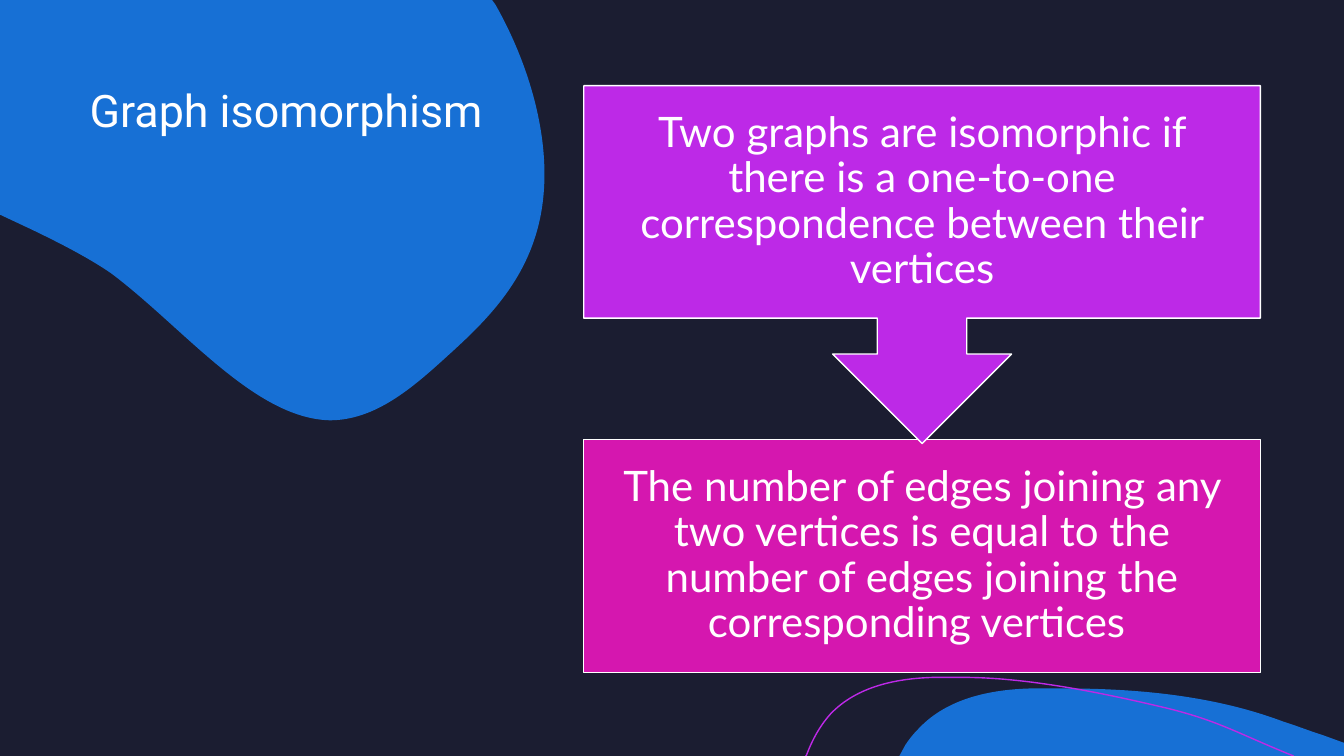
import dataclasses

import lxml.etree
import pptx
import pptx.util
import pptx.dml.color
import pptx.enum.shapes
import pptx.enum.text
import pptx.oxml.ns

Inches = pptx.util.Inches
Pt = pptx.util.Pt
RGB = pptx.dml.color.RGBColor.from_string
MSO_SHAPE = pptx.enum.shapes.MSO_SHAPE
qn = pptx.oxml.ns.qn


@dataclasses.dataclass(frozen=True)
class Theme:
    """Colours, fonts and type sizes of the slide."""
    night: str = "1B1D31"
    blue: str = "1770D5"
    violet: str = "BD29E7"
    magenta: str = "D517AF"
    white: str = "FFFFFF"
    title_font: str = "Roboto"
    body_font: str = "Lato"
    title_size: int = 32
    body_size: int = 30


THEME = Theme()

# Outlines in inches from the box corner: 2 numbers are a line, 6 a curve.
CORNER_BLOB = [
    (0, 0), (4.88, 0), (4.91, 0.04),
    (5.23, 0.6, 5.45, 1.31, 5.39, 1.94), (5.32, 2.7, 4.86, 3.15, 4.44, 3.53),
    (4.09, 3.85, 3.72, 4.17, 3.27, 4.17), (2.52, 4.15, 1.82, 3.25, 1.1, 2.71),
    (0.88, 2.56, 0.61, 2.42, 0.32, 2.28), (0, 2.13), (0, 0),
]
BOTTOM_WAVE = [
    (1.62, 0), (2.36, 0, 3.12, 0.07, 3.81, 0.33),
    (3.94, 0.37, 4.06, 0.42, 4.19, 0.46), (4.41, 0.54), (4.41, 0.67),
    (0, 0.67), (0.06, 0.56), (0.1, 0.5, 0.14, 0.45, 0.19, 0.4),
    (0.47, 0.1, 0.9, 0.01, 1.31, 0), (1.41, 0, 1.51, 0, 1.62, 0),
]
WAVE_LINE = [
    (0, 0.78), (0.01, 0.77), (0.07, 0.61, 0.15, 0.47, 0.25, 0.36),
    (0.51, 0.09, 0.9, 0.01, 1.27, 0), (1.56, 0),
    (2.23, 0, 3.01, 0.17, 3.56, 0.3), (4.1, 0.43, 4.27, 0.55, 4.84, 0.78),
]


def add_curve(slide, left, top, outline, fill=None, line=None):
    """Draw an outline with its box corner at left, top; closed if filled."""
    ends = [tuple(map(Inches, segment[-2:])) for segment in outline]
    builder = slide.shapes.build_freeform(*ends[0])
    builder.add_line_segments(ends[1:], close=fill is not None)
    curve = builder.convert_to_shape(Inches(left), Inches(top))
    sides = list(curve.element.iter(qn("a:lnTo")))
    for side, segment in zip(sides, outline[1:]):
        if len(segment) == 6:
            bend(side, segment[:4])
    paint(curve, fill, line)


def bend(side, controls):
    """Turn a straight side into a cubic curve with two control points."""
    side.tag = qn("a:cubicBezTo")
    for index in (0, 1):
        x, y = map(Inches, controls[2 * index:2 * index + 2])
        control = lxml.etree.Element(qn("a:pt"), x=str(int(x)), y=str(int(y)))
        side.insert(index, control)


def paint(shape, fill, line):
    """Set fill and a one-point line, each left out when None."""
    shape.shadow.inherit = False
    for part, colour in ((shape.fill, fill), (shape.line.fill, line)):
        if colour:
            part.solid()
            part.fore_color.rgb = RGB(colour)
        else:
            part.background()
    if line:
        shape.line.width = Pt(1)


def write(shape, text, font, size, align, anchor):
    """Put one wrapped white paragraph into a shape."""
    frame = shape.text_frame
    frame.word_wrap = True
    frame.vertical_anchor = anchor
    paragraph = frame.paragraphs[0]
    paragraph.text = text
    paragraph.alignment = align
    paragraph.line_spacing = 0.9
    paragraph.font.name = font
    paragraph.font.size = Pt(size)
    paragraph.font.color.rgb = RGB(THEME.white)


def add_decoration(slide, width, height):
    """Draw the backdrop, the blue blobs and the thin wave."""
    backdrop = slide.shapes.add_shape(
        MSO_SHAPE.RECTANGLE, 0, 0, Inches(width), Inches(height))
    paint(backdrop, THEME.night, None)
    add_curve(slide, 0, 0, CORNER_BLOB, fill=THEME.blue)
    add_curve(slide, width - 4.41, height - 0.67, BOTTOM_WAVE, fill=THEME.blue)
    add_curve(slide, width - 5.34, height - 0.78, WAVE_LINE, line=THEME.violet)


def add_title(slide, left, top, width, height):
    """Write the slide title at the top left of its box."""
    title = slide.shapes.add_textbox(*map(Inches, (left, top, width, height)))
    write(title, "Graph isomorphism", THEME.title_font, THEME.title_size,
          pptx.enum.text.PP_ALIGN.LEFT, pptx.enum.text.MSO_ANCHOR.TOP)


def add_conditions(slide, left, top, width, height):
    """Stack the two conditions, the first pointing down at the second."""
    callout_height, edges_height = 3.55, 2.31
    conditions = [
        (MSO_SHAPE.RECTANGLE, height - edges_height, edges_height, THEME.magenta,
         "The number of edges joining any two vertices is equal to the "
         "number of edges joining the corresponding vertices "),
        (MSO_SHAPE.DOWN_ARROW_CALLOUT, 0, callout_height, THEME.violet,
         "Two graphs are isomorphic if there is a one-to-one "
         "correspondence between their vertices"),
    ]
    for preset, offset, box_height, colour, text in conditions:
        condition = slide.shapes.add_shape(
            preset, *map(Inches, (left, top + offset, width, box_height)))
        paint(condition, colour, THEME.white)
        frame = condition.text_frame
        frame.margin_left = frame.margin_right = Inches(0.23)
        frame.margin_top = frame.margin_bottom = Inches(0.23)
        write(condition, text, THEME.body_font, THEME.body_size,
              pptx.enum.text.PP_ALIGN.CENTER, pptx.enum.text.MSO_ANCHOR.MIDDLE)


def build():
    """Build the slide and save it."""
    width, height = 13.33, 7.5
    deck = pptx.Presentation()
    deck.slide_width, deck.slide_height = Inches(width), Inches(height)
    slide = deck.slides.add_slide(deck.slide_layouts[6])
    slide.background.fill.solid()
    slide.background.fill.fore_color.rgb = RGB(THEME.night)
    add_decoration(slide, width, height)
    add_title(slide, 0.79, 0.83, 4.21, 2.5)
    add_conditions(slide, 5.79, 0.85, 6.71, 5.82)
    deck.save("out.pptx")


build()
